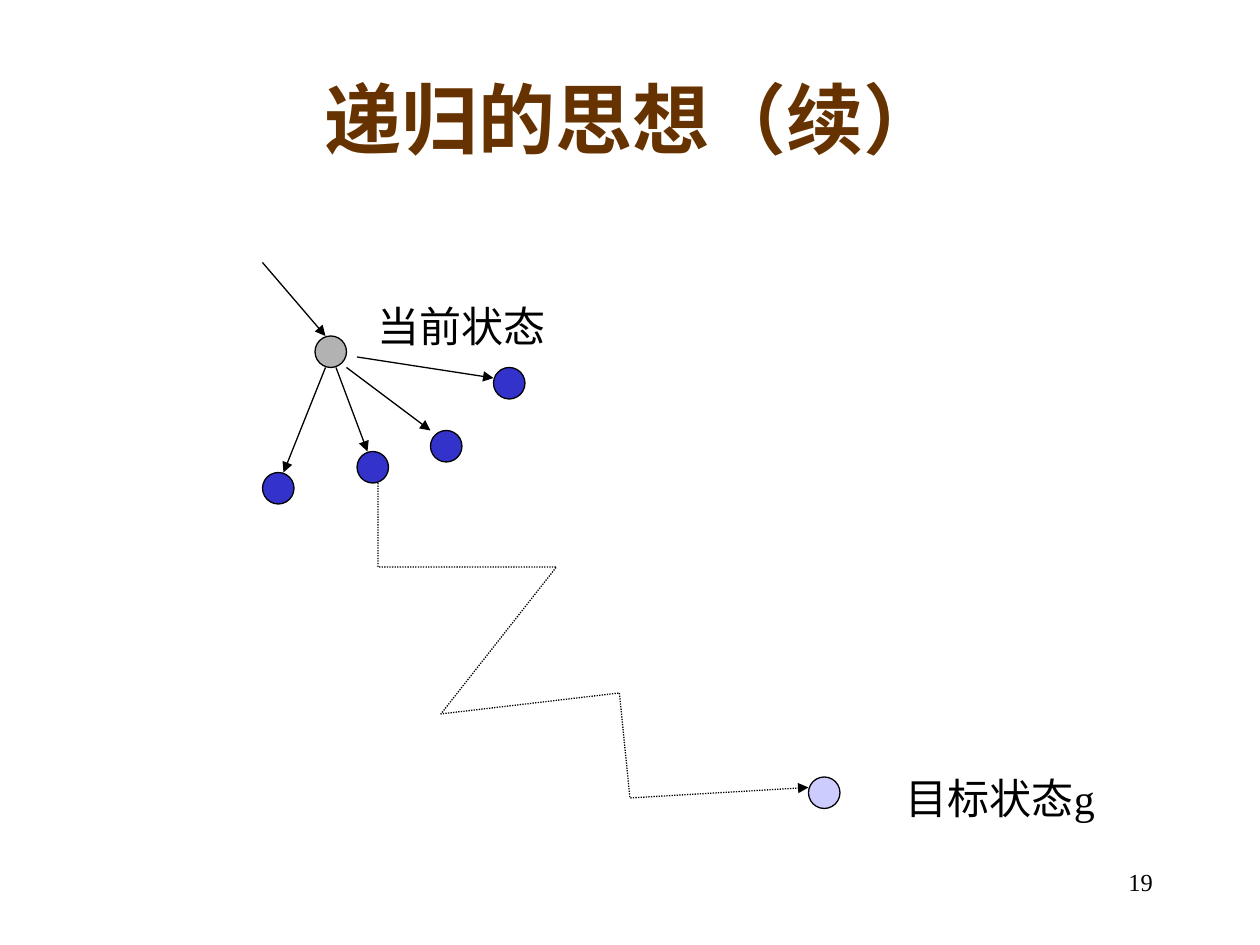
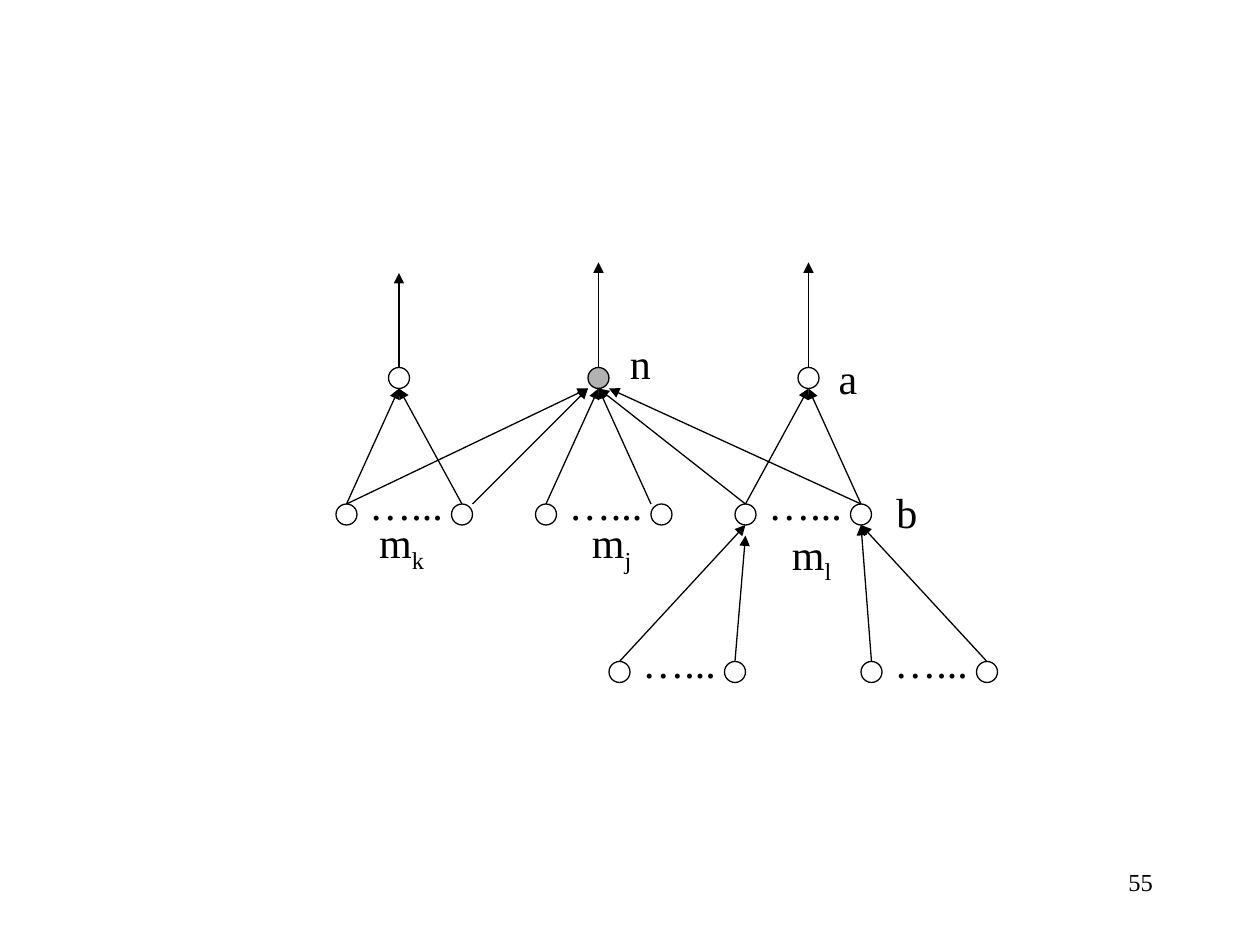
from lxml.etree import SubElement
from pptx import Presentation
from pptx.dml.color import RGBColor
from pptx.enum.dml import MSO_LINE
from pptx.enum.shapes import MSO_CONNECTOR, MSO_SHAPE
from pptx.enum.text import MSO_ANCHOR, MSO_AUTO_SIZE, PP_ALIGN
from pptx.oxml.ns import qn
from pptx.util import Cm, Pt

BLACK = RGBColor(0x00, 0x00, 0x00)
WHITE = RGBColor(0xFF, 0xFF, 0xFF)
BROWN = RGBColor(0x66, 0x33, 0x00)
GRAY = RGBColor(0xB2, 0xB2, 0xB2)
BLUE = RGBColor(0x33, 0x33, 0xCC)
LAVENDER = RGBColor(0xCC, 0xCC, 0xFF)

FONT = "Times New Roman"
TITLE = {"size": Pt(44), "bold": True}
BODY = {"size": Pt(24)}
NUMBER = {"size": Pt(14)}

# Vertical levels of the state graph, in grid steps
TOP_ROW, MIDDLE_ROW, BOTTOM_ROW = 36, 49, 64
PAIR_GAP = 11
SET_WIDTH = 10


def grid(steps):
    """Length of a number of grid steps, twelve to the inch."""
    return Cm(steps * 2.54 / 12)


def add_text(slide, box, text, font=BODY, color=BLACK, subscript="",
             align=PP_ALIGN.LEFT, anchor=MSO_ANCHOR.TOP, wrap=True,
             fit=MSO_AUTO_SIZE.NONE):
    tf = slide.shapes.add_textbox(*map(grid, box)).text_frame
    frame = {"word_wrap": wrap, "vertical_anchor": anchor, "auto_size": fit}
    for name, value in frame.items():
        setattr(tf, name, value)
    p = tf.paragraphs[0]
    p.alignment = align
    for part in filter(None, (text, subscript)):
        r = p.add_run()
        r.text = part
        for name, value in {"name": FONT, **font}.items():
            setattr(r.font, name, value)
        r.font.color.rgb = color
    if subscript:
        r._r.get_or_add_rPr().set("baseline", "-25000")


def add_label(slide, box, text):
    """Centred label that grows with its text."""
    add_text(slide, box, text, align=PP_ALIGN.CENTER, anchor=MSO_ANCHOR.MIDDLE,
             wrap=False, fit=MSO_AUTO_SIZE.SHAPE_TO_FIT_TEXT)


def add_set_name(slide, center, top, subscript):
    """The letter m with a subscript, in a box wide enough for one line."""
    add_text(slide, (center - SET_WIDTH / 2, top, SET_WIDTH, 6.7), "m",
             subscript=subscript, align=PP_ALIGN.CENTER, anchor=MSO_ANCHOR.MIDDLE)


def add_page_number(slide, number):
    add_text(slide, (86, 82, 25, 6), number, NUMBER, align=PP_ALIGN.RIGHT)


def set_line(sp):
    sp.line.color.rgb = BLACK
    sp.line.width = Pt(0.75)


def add_node(slide, left, top, size, fill=None):
    sp = slide.shapes.add_shape(MSO_SHAPE.OVAL, *map(grid, (left, top, size, size)))
    sp.shadow.inherit = False
    if fill is None:
        sp.fill.background()
    else:
        sp.fill.solid()
        sp.fill.fore_color.rgb = fill
    set_line(sp)


def finish_arrow(sp):
    """Put a triangle at the end of the line and drop the shadow."""
    spPr = sp._element.spPr
    SubElement(spPr.find(qn("a:ln")), qn("a:tailEnd"), type="triangle")
    SubElement(spPr, qn("a:effectLst"))


def add_arrow(slide, *ends):
    sp = slide.shapes.add_connector(MSO_CONNECTOR.STRAIGHT, *map(grid, ends))
    set_line(sp)
    finish_arrow(sp)


def add_dotted_path(slide, points):
    start, *rest = [(grid(x), grid(y)) for x, y in points]
    builder = slide.shapes.build_freeform(*start)
    builder.add_line_segments(rest, close=False)
    sp = builder.convert_to_shape()
    sp.fill.background()
    set_line(sp)
    sp.line.dash_style = MSO_LINE.ROUND_DOT
    finish_arrow(sp)


def add_sibling_pair(slide, x, y, fill=None):
    """Two small nodes with dots between them; x and y centre the left one."""
    for center in (x, x + PAIR_GAP):
        add_node(slide, center - 1, y - 1, 2, fill)
    add_label(slide, (x + 1, y - 4, 9.36, 6), "…...")


def build_recursion_slide(slide):
    add_page_number(slide, "19")
    add_text(slide, (9.24, 6.24, 102, 10), "递归的思想（续）", TITLE, BROWN,
             align=PP_ALIGN.CENTER, anchor=MSO_ANCHOR.MIDDLE)
    add_node(slide, 30, 32, 3, GRAY)
    add_node(slide, 77, 74, 3, LAVENDER)
    for left, top in ((25, 45), (34, 43), (41, 41), (47, 35)):
        add_node(slide, left, top, 3, BLUE)
    add_label(slide, (34.8, 28, 18.36, 6), "当前状态")
    add_label(slide, (84.6, 73, 21.36, 6), "目标状态g")
    add_dotted_path(slide, [(36, 46), (36, 54), (53, 54), (42, 68),
                            (59, 66), (60, 76), (77, 75)])
    for ends in ((25, 25, 31, 32), (31, 35, 27, 45), (32, 35, 35, 43),
                 (33, 35, 41, 41), (34, 34, 47, 36)):
        add_arrow(slide, *ends)


def build_state_graph_slide(slide):
    add_page_number(slide, "55")
    for x, fill, tip in ((38, WHITE, 26), (57, GRAY, 25), (77, WHITE, 25)):
        add_node(slide, x - 1, TOP_ROW - 1, 2, fill)
        add_arrow(slide, x, TOP_ROW - 1, x, tip)
    for x, y, fill in ((33, MIDDLE_ROW, None), (52, MIDDLE_ROW, None),
                       (71, MIDDLE_ROW, WHITE), (59, BOTTOM_ROW, None),
                       (83, BOTTOM_ROW, None)):
        add_sibling_pair(slide, x, y, fill)

    for child, parent in ((33, 38), (44, 38), (33, 56), (45, 56), (52, 57),
                          (62, 57), (71, 57), (82, 58), (71, 77), (82, 77)):
        add_arrow(slide, child, MIDDLE_ROW - 1, parent, TOP_ROW + 1)
    for child, parent, tip in ((59, 71, 50), (70, 71, 51), (83, 82, 50), (94, 82, 50)):
        add_arrow(slide, child, BOTTOM_ROW - 1, parent, tip)

    for subscript, center, top in (("k", 38.25, 48.6), ("j", 58.25, 48.6),
                                   ("l", 77.3, 49.7)):
        add_set_name(slide, center, top, subscript)
    for name, left, top in (("n", 58.8, 31.6), ("a", 78.7, 33), ("b", 84.2, 45.7)):
        add_text(slide, (left, top, 7.8, 6), name, fit=MSO_AUTO_SIZE.SHAPE_TO_FIT_TEXT)


def main():
    prs = Presentation()
    prs.slide_width, prs.slide_height = Cm(25.4), Cm(19.05)
    for build in (build_recursion_slide, build_state_graph_slide):
        build(prs.slides.add_slide(prs.slide_layouts[6]))
    prs.save("out.pptx")


if __name__ == "__main__":
    main()
